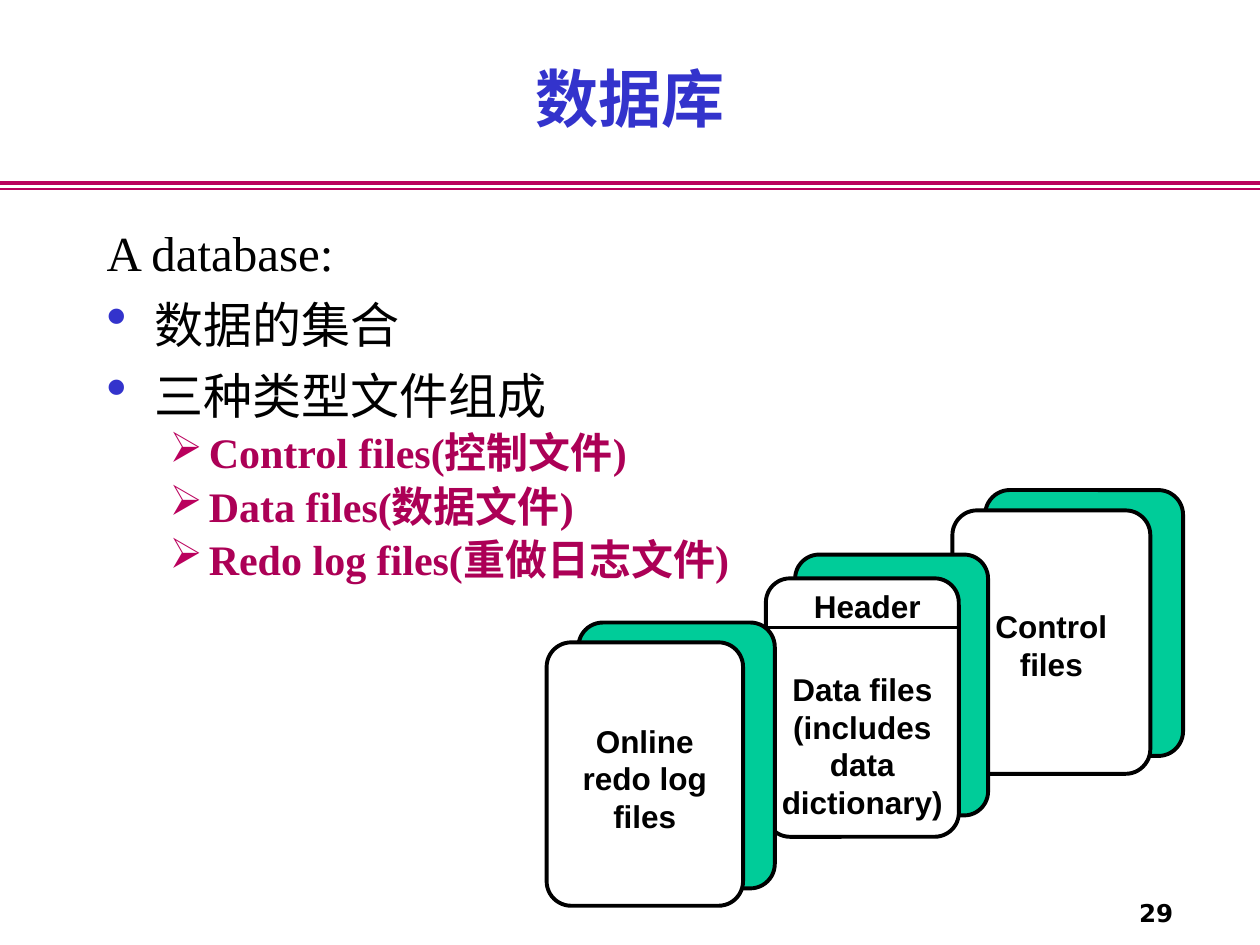
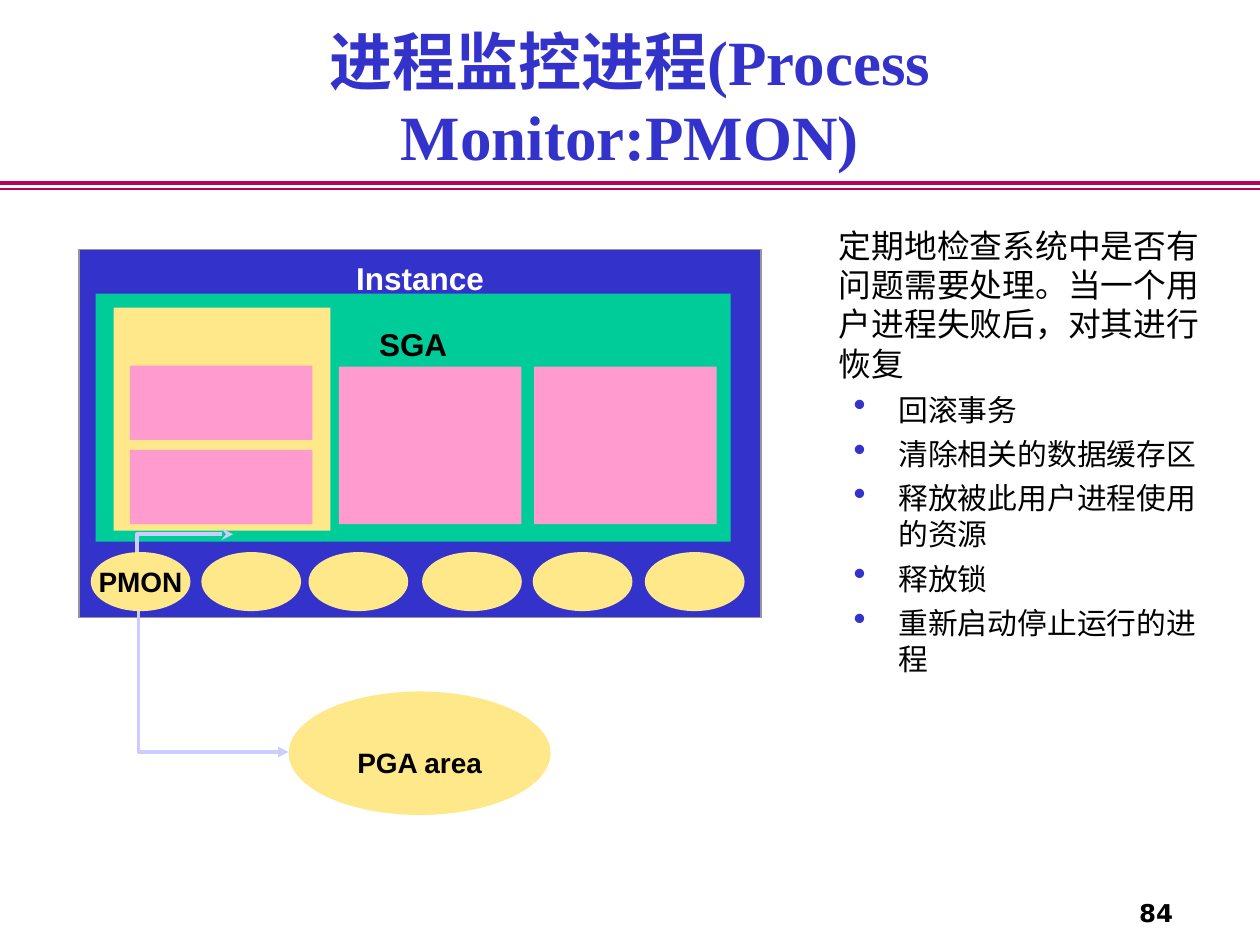
"""Build two database lecture slides: the database files and the process monitor."""
import dataclasses

import lxml.etree
import pptx
import pptx.dml.color
import pptx.enum.shapes
import pptx.enum.text
import pptx.oxml.ns
import pptx.util

Cm = pptx.util.Cm
Pt = pptx.util.Pt
qn = pptx.oxml.ns.qn
Color = pptx.dml.color.RGBColor.from_string
Align = pptx.enum.text.PP_ALIGN
Anchor = pptx.enum.text.MSO_ANCHOR
Kind = pptx.enum.shapes.MSO_SHAPE
STRAIGHT = pptx.enum.shapes.MSO_CONNECTOR.STRAIGHT


@dataclasses.dataclass(frozen=True)
class Theme:
    serif: str = "Times New Roman"
    sans: str = "Arial"
    number_font: str = "DejaVu Sans"
    ink: str = "000000"
    paper: str = "FFFFFF"
    blue: str = "3333CC"
    rule: str = "BA005D"
    accent: str = "AC0056"
    green: str = "00CC99"
    yellow: str = "FFE88A"
    pink: str = "FF9BCE"
    gray: str = "969696"
    arrow: str = "CCCCFF"
    title: float = 36
    body: float = 28
    sub: float = 24
    lead: float = 18.7
    item: float = 17
    label: float = 18
    small: float = 16
    number: float = 14


theme = Theme()


def write_text(text, frame, size=theme.label, font=theme.sans, color=theme.ink, bold=True,
               align=Align.CENTER, anchor=None, wrap=False, top=None, before=0, spacing=None,
               bullet=None, bullet_color=theme.blue, bullet_size=100, margin=0, hanging=0):
    frame.word_wrap = wrap
    if anchor is not None:
        frame.vertical_anchor = anchor
    if top is not None:
        frame.margin_top = Cm(top)
    for line in text.split("\n"):
        paragraph = frame.paragraphs[0]
        if paragraph.runs:
            paragraph = frame.add_paragraph()
        paragraph.alignment = align
        paragraph.space_before = Pt(before)
        if spacing:
            paragraph.line_spacing = spacing
        if bullet:
            properties = paragraph._p.get_or_add_pPr()
            properties.set("marL", str(Cm(margin)))
            properties.set("indent", str(-Cm(hanging)))
            holder = lxml.etree.SubElement(properties, qn("a:buClr"))
            lxml.etree.SubElement(holder, qn("a:srgbClr"), val=bullet_color)
            lxml.etree.SubElement(properties, qn("a:buSzPct"), val=str(bullet_size * 1000))
            lxml.etree.SubElement(properties, qn("a:buChar"), char=bullet)
        run = paragraph.add_run()
        run.text = line
        run.font.name = font
        run.font.size = Pt(size)
        run.font.bold = bold
        run.font.color.rgb = Color(color)


def add_block(slide, kind, box, fill, line=None, weight=1):
    shape = slide.shapes.add_shape(kind, *map(Cm, box))
    shape.fill.solid()
    shape.fill.fore_color.rgb = Color(fill)
    if line:
        shape.line.color.rgb = Color(line)
        shape.line.width = Pt(weight)
    else:
        shape.line.fill.background()
    return shape


presentation = pptx.Presentation()
presentation.slide_width = Cm(25.4)
presentation.slide_height = Cm(19.05)

slides = []
for title, number in [("数据库", "29"), ("进程监控进程(Process Monitor:PMON)", "84")]:
    slide = presentation.slides.add_slide(presentation.slide_layouts[6])
    slides.append(slide)
    for height, weight in [(3.68, 2.25), (3.81, 1)]:
        rule = slide.shapes.add_connector(STRAIGHT, Cm(0), Cm(height), Cm(25.4), Cm(height))
        rule.line.color.rgb = Color(theme.rule)
        rule.line.width = Pt(weight)
    title_box = slide.shapes.add_textbox(Cm(1.9), Cm(0.38), Cm(21.6), Cm(3.18))
    write_text(title, title_box.text_frame, size=theme.title, font=theme.serif,
               color=theme.blue, anchor=Anchor.MIDDLE, wrap=True)
    number_box = slide.shapes.add_textbox(Cm(22.43), Cm(17.98), Cm(1.47), Cm(0.84))
    write_text(number, number_box.text_frame, size=theme.number, font=theme.number_font,
               align=Align.RIGHT, anchor=Anchor.MIDDLE, wrap=True)

database_slide, monitor_slide = slides
plain = dict(font=theme.serif, bold=False, align=Align.LEFT, wrap=True)
dot = dict(bullet="•", bullet_size=120)

body = database_slide.shapes.add_textbox(Cm(1.9), Cm(4.37), Cm(21.6), Cm(8)).text_frame
write_text("A database:", body, size=theme.body, **plain)
write_text("数据的集合\n三种类型文件组成", body, size=theme.body, before=7,
           margin=0.97, hanging=0.97, **dot, **plain)
write_text("Control files(控制文件)\nData files(数据文件)\nRedo log files(重做日志文件)", body,
           size=theme.sub, color=theme.accent, font=theme.serif, align=Align.LEFT, wrap=True,
           before=6, spacing=0.85, bullet="➢", bullet_color=theme.rule, margin=2.06, hanging=0.79)

file_cards = [
    ("Control\nfiles", "", 19.2, 10.29, 3.99, 5.31, 0.66, 0.41, 0.25),
    ("Data files\n(includes\ndata\ndictionary)", "Header", 15.44, 11.66, 3.89, 5.21, 0.59, 0.48, 1.65),
    ("Online\nredo log\nfiles", "", 11.02, 12.95, 3.96, 5.31, 0.64, 0.4, 0.3),
]
for label, header, left, top, width, height, shift, rise, inset in file_cards:
    back = (left + shift, top - rise, width, height + 0.05)
    front = (left, top, width, height)
    for box, fill in [(back, theme.green), (front, theme.paper)]:
        card = add_block(database_slide, Kind.ROUNDED_RECTANGLE, box, fill, theme.ink, 2.25)
        card.adjustments[0] = 0.125
    write_text(label, card.text_frame, anchor=Anchor.MIDDLE, top=inset)
    if header:
        header_box = database_slide.shapes.add_textbox(
            Cm(left + 0.1), Cm(top + 0.05), Cm(width), Cm(1.02))
        write_text(header, header_box.text_frame, wrap=True)
        divider = database_slide.shapes.add_connector(
            STRAIGHT, Cm(left), Cm(top + 0.99), Cm(left + width), Cm(top + 0.99))
        divider.line.color.rgb = Color(theme.ink)
        divider.line.width = Pt(2.25)

duties = monitor_slide.shapes.add_textbox(Cm(16.66), Cm(4.42), Cm(7.8), Cm(8.92)).text_frame
write_text("定期地检查系统中是否有问题需要处理。当一个用户进程失败后，对其进行恢复", duties,
           size=theme.lead, **plain)
write_text("回滚事务\n清除相关的数据缓存区\n释放被此用户进程使用的资源\n释放锁\n重新启动停止运行的进程",
           duties, size=theme.item, before=5, margin=1.2, hanging=0.9, **dot, **plain)

pga = add_block(monitor_slide, Kind.OVAL, (5.82, 13.94, 5.28, 2.49), theme.yellow)
write_text("PGA area", pga.text_frame, size=theme.small, anchor=Anchor.MIDDLE, top=0.49)
instance = add_block(monitor_slide, Kind.RECTANGLE, (1.6, 5.03, 13.74, 7.42), theme.blue, theme.gray)
write_text("Instance", instance.text_frame, color=theme.paper, anchor=Anchor.TOP, top=0.2)
sga = add_block(monitor_slide, Kind.RECTANGLE, (1.93, 5.92, 12.8, 5), theme.green)
write_text("SGA", sga.text_frame, anchor=Anchor.TOP, top=0.63)

add_block(monitor_slide, Kind.RECTANGLE, (2.29, 6.2, 4.37, 4.5), theme.yellow)
for left, top, height in [(6.83, 7.39, 3.18), (10.77, 7.39, 3.18), (2.62, 7.37, 1.5), (2.62, 9.07, 1.5)]:
    add_block(monitor_slide, Kind.RECTANGLE, (left, top, 3.68, height), theme.pink)

arrows = [
    ([(2.77, 11.79), (2.77, 10.77), (4.7, 10.77)], "stealth", 2.25),
    ([(2.79, 12.32), (2.79, 15.16), (5.82, 15.16)], "triangle", 2),
]
for points, head, weight in arrows:
    start, *others = [(Cm(x), Cm(y)) for x, y in points]
    builder = monitor_slide.shapes.build_freeform(*start)
    builder.add_line_segments(others, close=False)
    arrow = builder.convert_to_shape()
    arrow.fill.background()
    arrow.line.color.rgb = Color(theme.arrow)
    arrow.line.width = Pt(weight)
    lxml.etree.SubElement(arrow.line._get_or_add_ln(), qn("a:tailEnd"), type=head)

for left in [4.06, 6.22, 8.51, 10.74, 13, 1.83]:
    process = add_block(monitor_slide, Kind.OVAL, (left, 11.13, 2.01, 1.19), theme.yellow)
write_text("PMON", process.text_frame, size=theme.small, anchor=Anchor.MIDDLE)

for slide in slides:
    for shape in slide.shapes:
        lxml.etree.SubElement(shape._element.spPr, qn("a:effectLst"))

presentation.save("out.pptx")
